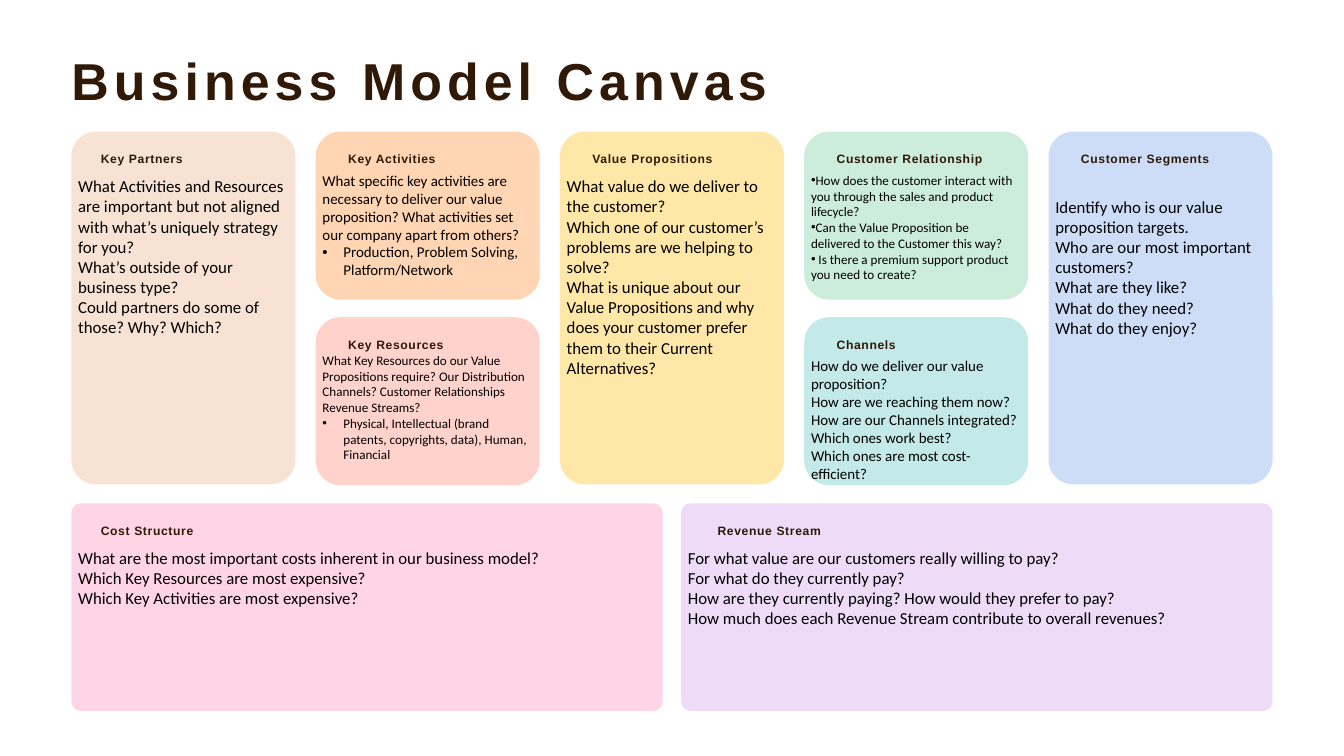
from lxml import etree
from pptx import Presentation
from pptx.dml.color import RGBColor
from pptx.enum.shapes import MSO_SHAPE
from pptx.enum.text import MSO_ANCHOR, MSO_AUTO_SIZE, PP_ALIGN
from pptx.oxml.ns import qn
from pptx.util import Pt

ROUNDED = MSO_SHAPE.ROUNDED_RECTANGLE
TOP, LEFT = MSO_ANCHOR.TOP, PP_ALIGN.LEFT
NO_FIT = MSO_AUTO_SIZE.NONE

COLORS = {
    "heading": "301906", "body": "000000",
    "partners": "F5D6C3", "activities": "FFC493", "resources": "FFC0B7",
    "value": "FFDE83", "relationship": "B7E6CC", "channels": "ACE1E1",
    "segments": "BACFF4", "cost": "FFC2DB", "revenue": "E6CDF4",
}

# Grid, in points
X0, X1 = 76.5, 1363.4
COL_W, WIDE_W = 240, 633.6
PITCH = (X1 - X0 - COL_W) / 4
COLS = [X0 + i * PITCH for i in range(5)]
WIDE_COLS = [X0, X1 - WIDE_W]
ROW_1, ROW_2, ROW_3 = 141, 339.9, 539.3
TALL_H, SHORT_H, WIDE_H = 378, 180, 222.5
LARGE_R, SMALL_R = 26.6, 10
LINE = 1.22  # Calibri line height per point of size

# Bullet formats: (left margin, first-line indent)
HANGING, FLUSH = (22.5, -22.5), (0, -22.5)

# Colour key, label, label offset, box, radius, text size, text top, paragraphs;
# a paragraph is a string, or (string, bullet format)
CARDS = [
    ("partners", "Key Partners", 31.5, (COLS[0], ROW_1, COL_W, TALL_H), LARGE_R, 18, 36 * LINE, [
        "What Activities and Resources are important but not aligned with what’s uniquely strategy for you?",
        "What’s outside of your business type?",
        "Could partners do some of those? Why? Which?"]),
    ("activities", "Key Activities", 34.8, (COLS[1], ROW_1, COL_W, SHORT_H), LARGE_R, 16, 32 * LINE, [
        "What specific key activities are necessary to deliver our value proposition? "
        "What activities set our company apart from others?",
        ("Production, Problem Solving, Platform/Network", HANGING)]),
    ("value", "Value Propositions", 34.8, (COLS[2], ROW_1, COL_W, TALL_H), LARGE_R, 18, 36 * LINE, [
        "What value do we deliver to the customer?",
        "Which one of our customer’s problems are we helping to solve?",
        "What is unique about our Value Propositions and why does your customer "
        "prefer them to their Current Alternatives?"]),
    ("relationship", "Customer Relationship", 34.8, (COLS[3], ROW_1, COL_W, SHORT_H), LARGE_R, 14, 33 * LINE, [
        ("How does the customer interact with you through the sales and product lifecycle?", FLUSH),
        ("Can the Value Proposition be delivered to the Customer this way?", FLUSH),
        (" Is there a premium support product you need to create?", FLUSH)]),
    ("segments", "Customer Segments", 34.8, (COLS[4], ROW_1, COL_W, TALL_H), LARGE_R, 18, 54 * LINE, [
        "Identify who is our value proposition targets.",
        "Who are our most important customers?",
        "What are they like?",
        "What do they need?",
        "What do they enjoy?"]),
    ("resources", "Key Resources", 34.8, (COLS[1], ROW_2, COL_W, SHORT_H), LARGE_R, 14, 28 * LINE, [
        "What Key Resources do our Value Propositions require? Our Distribution Channels? "
        "Customer Relationships Revenue Streams?",
        ("Physical, Intellectual (brand patents, copyrights, data), Human, Financial", HANGING)]),
    ("channels", "Channels", 34.8, (COLS[3], ROW_2, COL_W, SHORT_H), LARGE_R, 16, 32 * LINE, [
        "How do we deliver our value proposition?",
        "How are we reaching them now?",
        "How are our Channels integrated?",
        "Which ones work best?",
        "Which ones are most cost-efficient?"]),
    ("cost", "Cost Structure", 31.5, (WIDE_COLS[0], ROW_3, WIDE_W, WIDE_H), SMALL_R, 18, 36 * LINE, [
        "What are the most important costs inherent in our business model?",
        "Which Key Resources are most expensive?",
        "Which Key Activities are most expensive?"]),
    ("revenue", "Revenue Stream", 39, (WIDE_COLS[1], ROW_3, WIDE_W, WIDE_H), SMALL_R, 18, 36 * LINE, [
        "For what value are our customers really willing to pay?",
        "For what do they currently pay?",
        "How are they currently paying? How would they prefer to pay?",
        "How much does each Revenue Stream contribute to overall revenues?"]),
]


def set_attrs(obj, formats):
    for name, value in formats.items():
        setattr(obj, name, value)


def format_frame(tf, left=0, top=0, right=0, bottom=0):
    set_attrs(tf, {
        "word_wrap": True, "auto_size": NO_FIT, "vertical_anchor": TOP,
        "margin_left": Pt(left), "margin_top": Pt(top),
        "margin_right": Pt(right), "margin_bottom": Pt(bottom),
    })


def add_run(p, text, font, size, color, bold=False):
    r = p.add_run()
    r.text = text
    set_attrs(r.font, {"name": font, "size": Pt(size), "bold": bold})
    r.font.color.rgb = RGBColor.from_string(COLORS[color])
    return r


def write_heading(tf, text, size, line_height, tracking):
    format_frame(tf)
    p = tf.paragraphs[0]
    set_attrs(p, {"alignment": LEFT, "line_spacing": Pt(line_height), "space_before": Pt(0)})
    r = add_run(p, text, "Arial", size, "heading", True)
    r.font._element.set("spc", str(round(tracking * 100)))


def add_bullet(p, margin, indent):
    pPr = p._p.get_or_add_pPr()
    pPr.set("marL", str(Pt(margin)))
    pPr.set("indent", str(Pt(indent)))
    etree.SubElement(pPr, qn("a:buFont")).set("typeface", "Arial")
    etree.SubElement(pPr, qn("a:buChar")).set("char", "•")


def add_title(s):
    title = s.shapes.title
    set_attrs(title, {"left": Pt(X0), "top": Pt(55.4), "width": Pt(944), "height": Pt(65.5)})
    write_heading(title.text_frame, "Business Model Canvas", 55.6, 63.9, 5.5)


def add_card(s, color, box, radius, size, text_top, paragraphs):
    sp = s.shapes.add_shape(ROUNDED, *map(Pt, box))
    sp.adjustments[0] = radius / min(box[2:])
    sp.shadow.inherit = False
    sp.line.fill.background()
    sp.fill.solid()
    sp.fill.fore_color.rgb = RGBColor.from_string(COLORS[color])
    rgb = sp.fill._xPr.find(".//" + qn("a:srgbClr"))
    etree.SubElement(rgb, qn("a:alpha")).set("val", "70000")

    # Rounded corners already inset the text area, so take that off the margins
    corner = 0.29 * radius
    side = 7.2 - corner
    tf = sp.text_frame
    format_frame(tf, side, 3.6 + text_top - corner, side, 3.6 - corner)
    for i, item in enumerate(paragraphs):
        text, bullet = (item, None) if isinstance(item, str) else item
        p = tf.add_paragraph() if i else tf.paragraphs[0]
        p.alignment = LEFT
        if bullet:
            add_bullet(p, *bullet)
        add_run(p, text, "Calibri", size, "body")


def add_label(s, text, box, offset):
    x, y = box[:2]
    tb = s.shapes.add_textbox(Pt(x + offset), Pt(y + 23.6), Pt(175), Pt(15))
    write_heading(tb.text_frame, text, 13, 13.4, 0.7)


def main():
    prs = Presentation()
    prs.slide_width, prs.slide_height = Pt(1440), Pt(810)
    s = prs.slides.add_slide(prs.slide_layouts[5])
    add_title(s)
    for color, label, offset, box, radius, size, text_top, paragraphs in CARDS:
        add_card(s, color, box, radius, size, text_top, paragraphs)
        add_label(s, label, box, offset)
    prs.save("out.pptx")


if __name__ == "__main__":
    main()
